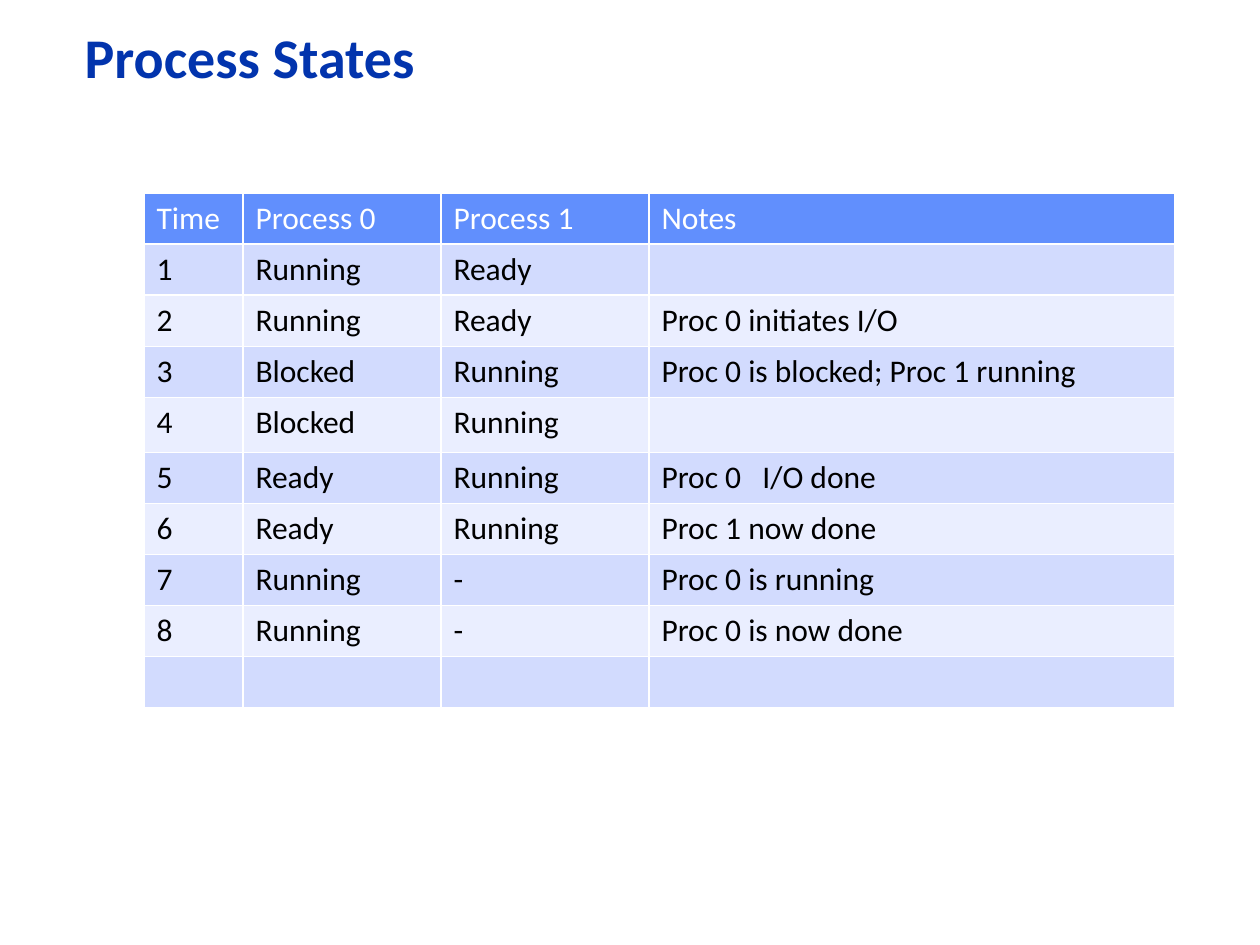
from typing import NamedTuple

from pptx import Presentation
from pptx.dml.color import RGBColor
from pptx.enum.text import MSO_ANCHOR, MSO_AUTO_SIZE, PP_ALIGN
from pptx.oxml import parse_xml
from pptx.oxml.ns import nsdecls
from pptx.util import Emu, Pt

PX = 914400 // 126
FONT = "Calibri"
COLORS = {
    "title": "0234AD",
    "header": "618FFD",
    "odd_row": "D2DBFE",
    "even_row": "EAEEFF",
    "white": "FFFFFF",
    "black": "000000",
}


class Box(NamedTuple):
    left: int
    top: int
    width: int
    height: int

    def emu(self) -> list[Emu]:
        return [px(length) for length in self]


class Step(NamedTuple):
    time: str = ""
    process_0: str = ""
    process_1: str = ""
    notes: str = ""


TITLE_BOX = Box(72, 24, 987, 73)
TABLE_LEFT, TABLE_TOP = 144, 193
COLUMN_WIDTHS = [99, 198, 208, 526]
ROW_HEIGHT = 51
TALL_ROWS = {4: 55}
STEPS = [
    Step("Time", "Process 0", "Process 1", "Notes"),
    Step("1", "Running", "Ready"),
    Step("2", "Running", "Ready", "Proc 0 initiates I/O"),
    Step("3", "Blocked", "Running", "Proc 0 is blocked; Proc 1 running"),
    Step("4", "Blocked", "Running"),
    Step("5", "Ready", "Running", "Proc 0   I/O done"),
    Step("6", "Ready", "Running", "Proc 1 now done"),
    Step("7", "Running", "-", "Proc 0 is running"),
    Step("8", "Running", "-", "Proc 0 is now done"),
    Step(),
]


def px(length: int) -> Emu:
    return Emu(length * PX)


def color(name: str) -> RGBColor:
    return RGBColor.from_string(COLORS[name])


def set_font(para, size: int, color_name: str, bold: bool = False) -> None:
    para.font.name = FONT
    para.font.size = Pt(size)
    para.font.bold = bold
    para.font.color.rgb = color(color_name)


def add_borders(cell, color_name: str, width: int = 1) -> None:
    """Line all four sides; the lines must come before the fill in the cell XML."""
    properties = cell._tc.get_or_add_tcPr()
    for index, side in enumerate("LRTB"):
        line = parse_xml(
            f'<a:ln{side} {nsdecls("a")} w="{Pt(width)}"><a:solidFill>'
            f'<a:srgbClr val="{COLORS[color_name]}"/></a:solidFill></a:ln{side}>'
        )
        properties.insert(index, line)


def format_title(title, text: str) -> None:
    title.left, title.top, title.width, title.height = TITLE_BOX.emu()
    frame = title.text_frame
    frame.text = text
    frame.auto_size = MSO_AUTO_SIZE.NONE
    frame.vertical_anchor = MSO_ANCHOR.MIDDLE
    para = frame.paragraphs[0]
    para.alignment = PP_ALIGN.LEFT
    para.line_spacing = 0.9
    set_font(para, 32, "title", bold=True)


def add_state_table(page, steps: list[Step]) -> None:
    heights = [TALL_ROWS.get(row, ROW_HEIGHT) for row in range(len(steps))]
    box = Box(TABLE_LEFT, TABLE_TOP, sum(COLUMN_WIDTHS), sum(heights))
    table = page.shapes.add_table(len(steps), len(COLUMN_WIDTHS), *box.emu()).table
    table.first_row = table.horz_banding = False
    for column, width in zip(table.columns, COLUMN_WIDTHS):
        column.width = px(width)
    for index, (row, height, step) in enumerate(zip(table.rows, heights, steps)):
        row.height = px(height)
        fill = "header" if index == 0 else "odd_row" if index % 2 else "even_row"
        for cell, text in zip(row.cells, step):
            cell.text = text
            set_font(cell.text_frame.paragraphs[0], 18, "black" if index else "white")
            cell.fill.solid()
            cell.fill.fore_color.rgb = color(fill)
            add_borders(cell, "white")


def main() -> None:
    deck = Presentation()
    deck.slide_width, deck.slide_height = px(1260), px(945)
    page = deck.slides.add_slide(deck.slide_layouts[5])
    format_title(page.shapes.title, "Process States")
    add_state_table(page, STEPS)
    deck.save("out.pptx")


if __name__ == "__main__":
    main()
